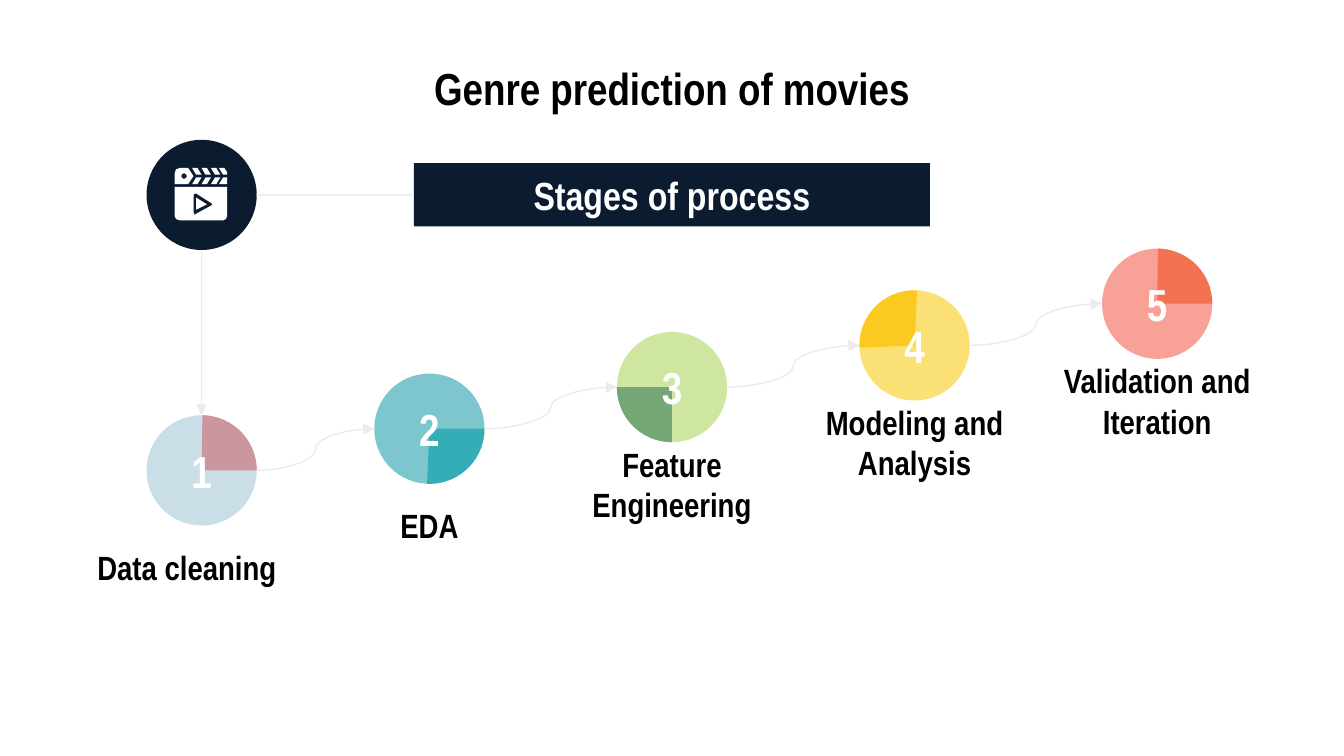
from math import cos, pi, sin

from lxml import etree
from pptx import Presentation
from pptx.dml.color import RGBColor
from pptx.enum.shapes import MSO_CONNECTOR, MSO_SHAPE
from pptx.enum.text import MSO_ANCHOR, PP_ALIGN
from pptx.oxml.ns import qn
from pptx.util import Inches, Pt

STRAIGHT, CURVE = MSO_CONNECTOR.STRAIGHT, MSO_CONNECTOR.CURVE
OVAL, PIE, RECTANGLE = MSO_SHAPE.OVAL, MSO_SHAPE.PIE, MSO_SHAPE.RECTANGLE
MIDDLE, CENTER = MSO_ANCHOR.MIDDLE, PP_ALIGN.CENTER

THEME = {
    "font": "Arial Narrow",
    "navy": "0B1C31", "ink": "000000", "white": "FFFFFF", "line": "EBEBEB",
    "title": 24, "banner": 21, "number": 24, "label": 18,
}
INSET = Inches(0.1)
FRAME_FORMAT = {
    "word_wrap": True, "vertical_anchor": MIDDLE,
    "margin_left": INSET, "margin_right": INSET,
    "margin_top": INSET, "margin_bottom": INSET,
}


def write(shape, text, size, color):
    frame = shape.text_frame
    for name, value in FRAME_FORMAT.items():
        setattr(frame, name, value)
    paragraph = frame.paragraphs[0]
    paragraph.alignment = CENTER
    run = paragraph.add_run()
    run.text = text
    font_format = {"name": THEME["font"], "size": Pt(THEME[size]), "bold": True}
    for name, value in font_format.items():
        setattr(run.font, name, value)
    run.font.color.rgb = RGBColor.from_string(THEME[color])


def paint(shape, color):
    shape.shadow.inherit = False
    shape.fill.solid()
    shape.fill.fore_color.rgb = RGBColor.from_string(color)
    shape.line.fill.background()


presentation = Presentation()
presentation.slide_width, presentation.slide_height = Inches(10), Inches(10 * 9 / 16)
slide = presentation.slides.add_slide(presentation.slide_layouts[6])
shapes = slide.shapes

DIAMETER, RADIUS = 0.82, 0.41
LABEL_WIDTH, LABEL_STEP, RISE = 1.78, 1.805, 0.31
START_X, START_Y, MOVIE_Y = 1.5, 3.5, 1.45
BANNER_LEFT, BANNER_HEIGHT = 3.08, 0.47

title = shapes.add_textbox(Inches(0.5), Inches(0.45), Inches(9), Inches(0.41))
write(title, "Genre prediction of movies", "title", "ink")

banner = shapes.add_shape(
    RECTANGLE, Inches(BANNER_LEFT), Inches(MOVIE_Y - BANNER_HEIGHT / 2),
    Inches(3.84), Inches(BANNER_HEIGHT))
paint(banner, THEME["navy"])
write(banner, "Stages of process", "banner", "white")

stages = [
    ("Data cleaning", "FF5D5E", "A2C5D5", 270.85, 359.99),
    ("EDA", "5AC7CC", "189AA8", 359.99, 92.44),
    ("Feature Engineering", "306DA1", "AAD356", 90.12, 180),
    ("Modeling and Analysis", "FFCB3C", "F9C909", 177.49, 272.55),
    ("Validation and Iteration", "F49662", "F35844", 270.85, 359.99),
]
centers = []
for index, (label, slice_color, disc_color, start_angle, end_angle) in enumerate(stages):
    label_left = 0.5 + index * LABEL_STEP
    center_x = label_left + LABEL_WIDTH / 2 if index else START_X
    center_y = START_Y - index * RISE
    centers.append((center_x, center_y))

    caption = shapes.add_textbox(
        Inches(label_left), Inches(center_y + 0.57), Inches(LABEL_WIDTH), Inches(0.3))
    write(caption, label, "label", "ink")

    bounds = (Inches(center_x - RADIUS), Inches(center_y - RADIUS),
              Inches(DIAMETER), Inches(DIAMETER))
    quarter = shapes.add_shape(PIE, *bounds)
    paint(quarter, slice_color)
    quarter.adjustments[0] = start_angle * 0.6
    quarter.adjustments[1] = end_angle * 0.6

    disc = shapes.add_shape(OVAL, *bounds)
    paint(disc, disc_color)
    disc_fill = disc.fill._xPr.find(qn("a:solidFill"))
    etree.SubElement(disc_fill[0], qn("a:alpha"), val="56000")
    write(disc, str(index + 1), "number", "white")

movie_disc = shapes.add_shape(
    OVAL, Inches(START_X - RADIUS), Inches(MOVIE_Y - RADIUS), Inches(DIAMETER), Inches(DIAMETER))
paint(movie_disc, THEME["navy"])

links = [
    (CURVE, x + RADIUS, y, next_x - RADIUS, next_y, True)
    for (x, y), (next_x, next_y) in zip(centers, centers[1:])
]
links.append((STRAIGHT, START_X, MOVIE_Y + RADIUS, START_X, START_Y - RADIUS, True))
links.append((STRAIGHT, BANNER_LEFT, MOVIE_Y, START_X + RADIUS, MOVIE_Y, False))
for kind, x1, y1, x2, y2, has_arrow in links:
    link = shapes.add_connector(kind, Inches(x1), Inches(y1), Inches(x2), Inches(y2))
    link.line.color.rgb = RGBColor.from_string(THEME["line"])
    link.line.width = Pt(0.75)
    if has_arrow:
        etree.SubElement(link.line._get_or_add_ln(), qn("a:tailEnd"), type="triangle")
    else:
        link.begin_connect(banner, 1)
    etree.SubElement(link._element.spPr, qn("a:effectLst"))

screen = [(1.3, 1.39), (1.3, 1.61), (1.31, 1.63), (1.34, 1.64),
          (1.66, 1.64), (1.68, 1.63), (1.69, 1.61), (1.69, 1.39)]
play_frame = [(1.45, 1.44), (1.46, 1.44), (1.57, 1.51), (1.58, 1.52), (1.57, 1.53),
              (1.46, 1.59), (1.45, 1.6), (1.44, 1.58), (1.44, 1.45)]
play = [(1.46, 1.47), (1.46, 1.56), (1.54, 1.52)]
hinge = [(1.34, 1.25), (1.31, 1.26), (1.3, 1.29), (1.3, 1.37),
         (1.4, 1.37), (1.44, 1.31), (1.4, 1.25)]
pivot = [(1.37 + 0.02 * cos(step * pi / 8), 1.31 + 0.02 * sin(step * pi / 8))
         for step in range(16)]
clapper = [
    [screen, play_frame], [play], [hinge, pivot],
    [[(1.63, 1.25), (1.66, 1.3), (1.69, 1.3), (1.69, 1.28), (1.67, 1.25)]],
    [[(1.66, 1.32), (1.63, 1.37), (1.69, 1.37), (1.69, 1.32)]],
]
for left in (1.43, 1.5, 1.57):
    clapper.append([[(left, 1.25), (left + 0.03, 1.3), (left + 0.07, 1.3), (left + 0.04, 1.25)]])
    clapper.append([[(left + 0.03, 1.32), (left, 1.37), (left + 0.04, 1.37), (left + 0.07, 1.32)]])

for contours in clapper:
    builder = None
    for contour in contours:
        first, *rest = [(Inches(x), Inches(y)) for x, y in contour]
        if builder is None:
            builder = shapes.build_freeform(*first)
        else:
            builder.move_to(*first)
        builder.add_line_segments(rest, close=True)
    paint(builder.convert_to_shape(), THEME["white"])

presentation.save("out.pptx")
